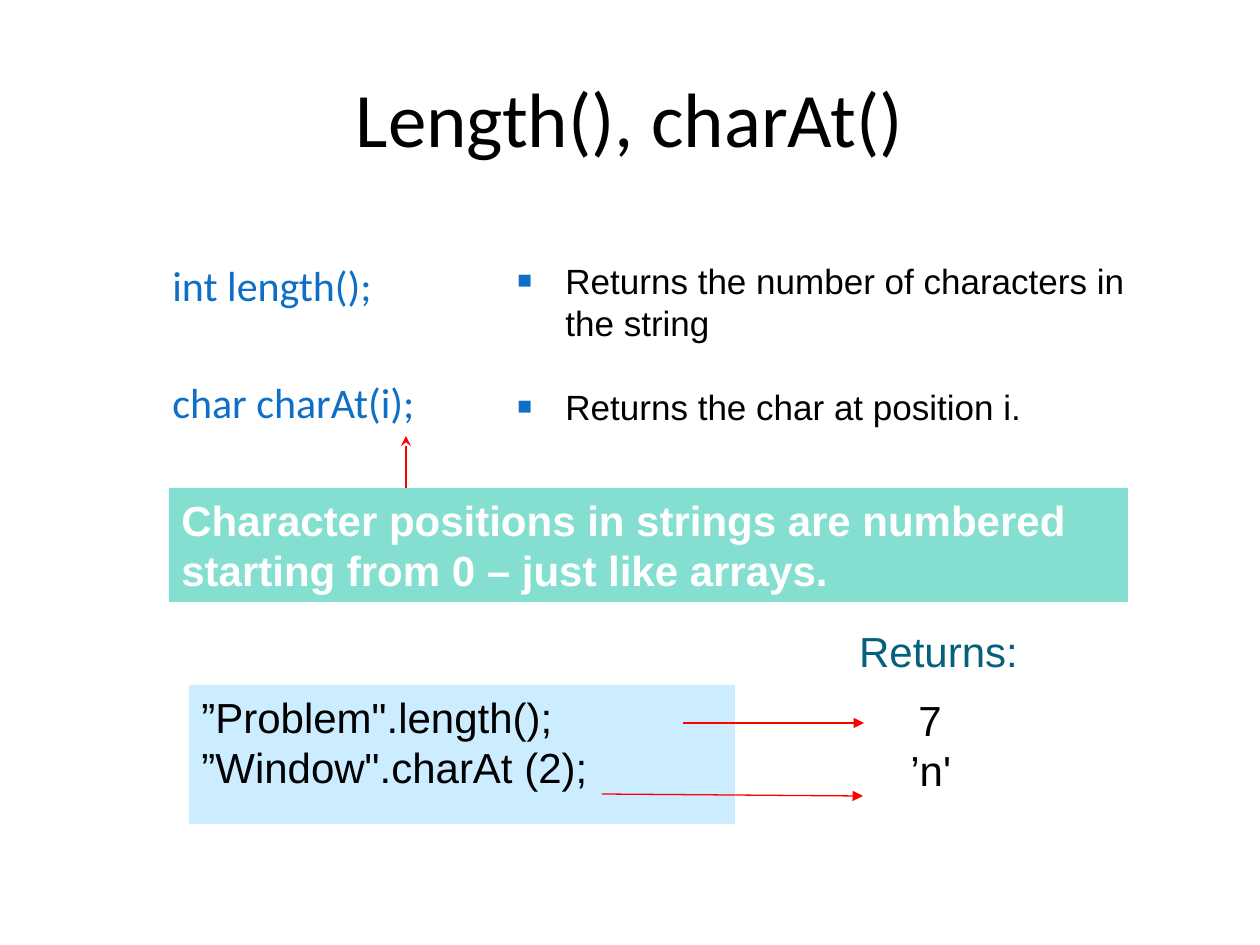
"""Build the slide on the string methods length() and charAt()."""
from dataclasses import dataclass
from typing import Optional

from lxml.etree import SubElement
from pptx import Presentation
from pptx.dml.color import RGBColor
from pptx.enum.shapes import MSO_CONNECTOR, MSO_SHAPE
from pptx.enum.text import MSO_ANCHOR, PP_ALIGN
from pptx.oxml.ns import qn
from pptx.util import Emu, Pt

BLACK = RGBColor(0x00, 0x00, 0x00)
WHITE = RGBColor(0xFF, 0xFF, 0xFF)
BLUE = RGBColor(0x0F, 0x6F, 0xC6)
TEAL = RGBColor(0x04, 0x61, 0x7B)
RED = RGBColor(0xFF, 0x00, 0x00)
MINT = RGBColor(0x85, 0xDF, 0xD0)
SKY = RGBColor(0xCC, 0xEC, 0xFF)


def px(length: int) -> Emu:
    """Turn pixels into EMU."""
    return Emu(round(length * 914400 / 126))


@dataclass
class Block:
    """A block of text, filled or bare."""

    left: int
    top: int
    width: int
    height: int
    lines: tuple[str, ...]
    size: int = 24
    font: str = "Arial"
    color: RGBColor = BLACK
    fill: Optional[RGBColor] = None
    bold: bool = False
    align: PP_ALIGN = PP_ALIGN.LEFT
    anchor: MSO_ANCHOR = MSO_ANCHOR.TOP
    gap: float = 0
    bulleted: bool = False
    first_indent: int = 0


@dataclass
class Arrow:
    """A red arrow with its head at the end point."""

    start: tuple[int, int]
    end: tuple[int, int]
    head: str = "triangle"


BLOCKS = (
    Block(63, 38, 1134, 158, ("Length(), charAt()",), size=44, font="Calibri",
          align=PP_ALIGN.CENTER, anchor=MSO_ANCHOR.MIDDLE),
    Block(160, 253, 300, 185, ("int length();", "char charAt(i);"),
          font="Calibri", color=BLUE, gap=38.4),
    Block(505, 253, 649, 193,
          ("Returns the number of characters in the string",
           "Returns the char at position i."),
          size=20, gap=24, bulleted=True),
    Block(898, 688, 154, 139, ("7", "’n'"), first_indent=8),
    Block(189, 685, 546, 139,
          ("”Problem\".length();", "”Window\".charAt (2);"), fill=SKY),
    Block(839, 619, 199, 63, ("Returns:",), color=TEAL, align=PP_ALIGN.CENTER),
    Block(169, 488, 959, 114,
          ("Character positions in strings are numbered starting from 0 – "
           "just like arrays.",), color=WHITE, fill=MINT, bold=True),
)

ARROWS = (
    Arrow((602, 794), (863, 796)),
    Arrow((683, 723), (864, 723)),
    Arrow((406, 488), (406, 436), "stealth"),
)


def add_bullet(paragraph) -> None:
    """Give a paragraph a small blue square and a hanging indent."""
    properties = paragraph._p.get_or_add_pPr()
    properties.set("marL", str(px(48)))
    properties.set("indent", str(px(-48)))
    color = SubElement(properties, qn("a:buClr"))
    SubElement(color, qn("a:srgbClr"), val=str(BLUE))
    SubElement(properties, qn("a:buSzPct"), val="70000")
    SubElement(properties, qn("a:buFont"), typeface="Arial")
    SubElement(properties, qn("a:buChar"), char="■")


def add_block(slide, block: Block) -> None:
    """Draw a block and its paragraphs."""
    bounds = [px(n) for n in (block.left, block.top, block.width, block.height)]
    if block.fill is None:
        body = slide.shapes.add_textbox(*bounds)
    else:
        body = slide.shapes.add_shape(MSO_SHAPE.RECTANGLE, *bounds)
        body.shadow.inherit = False
        body.fill.solid()
        body.fill.fore_color.rgb = block.fill
        body.line.fill.background()
    frame = body.text_frame
    frame.word_wrap = True
    frame.vertical_anchor = block.anchor
    for index, line in enumerate(block.lines):
        paragraph = frame.add_paragraph() if index else frame.paragraphs[0]
        paragraph.text = line
        paragraph.alignment = block.align
        if index and block.gap:
            paragraph.space_before = Pt(block.gap)
        if block.bulleted:
            add_bullet(paragraph)
        if index == 0 and block.first_indent:
            paragraph._p.get_or_add_pPr().set("marL", str(px(block.first_indent)))
        paragraph.font.size = Pt(block.size)
        paragraph.font.name = block.font
        paragraph.font.bold = block.bold
        paragraph.font.color.rgb = block.color


def add_arrow(slide, arrow: Arrow) -> None:
    """Draw an arrow."""
    points = [px(n) for n in (*arrow.start, *arrow.end)]
    connector = slide.shapes.add_connector(MSO_CONNECTOR.STRAIGHT, *points)
    connector.line.color.rgb = RED
    connector.line.width = Pt(0.75)
    SubElement(connector.line._get_or_add_ln(), qn("a:tailEnd"), type=arrow.head)
    SubElement(connector._element.spPr, qn("a:effectLst"))


def main() -> None:
    """Build and save the slide."""
    deck = Presentation()
    deck.slide_width, deck.slide_height = px(1260), px(945)
    slide = deck.slides.add_slide(deck.slide_layouts[6])
    for block in BLOCKS:
        add_block(slide, block)
    for arrow in ARROWS:
        add_arrow(slide, arrow)
    deck.save("out.pptx")


if __name__ == "__main__":
    main()
